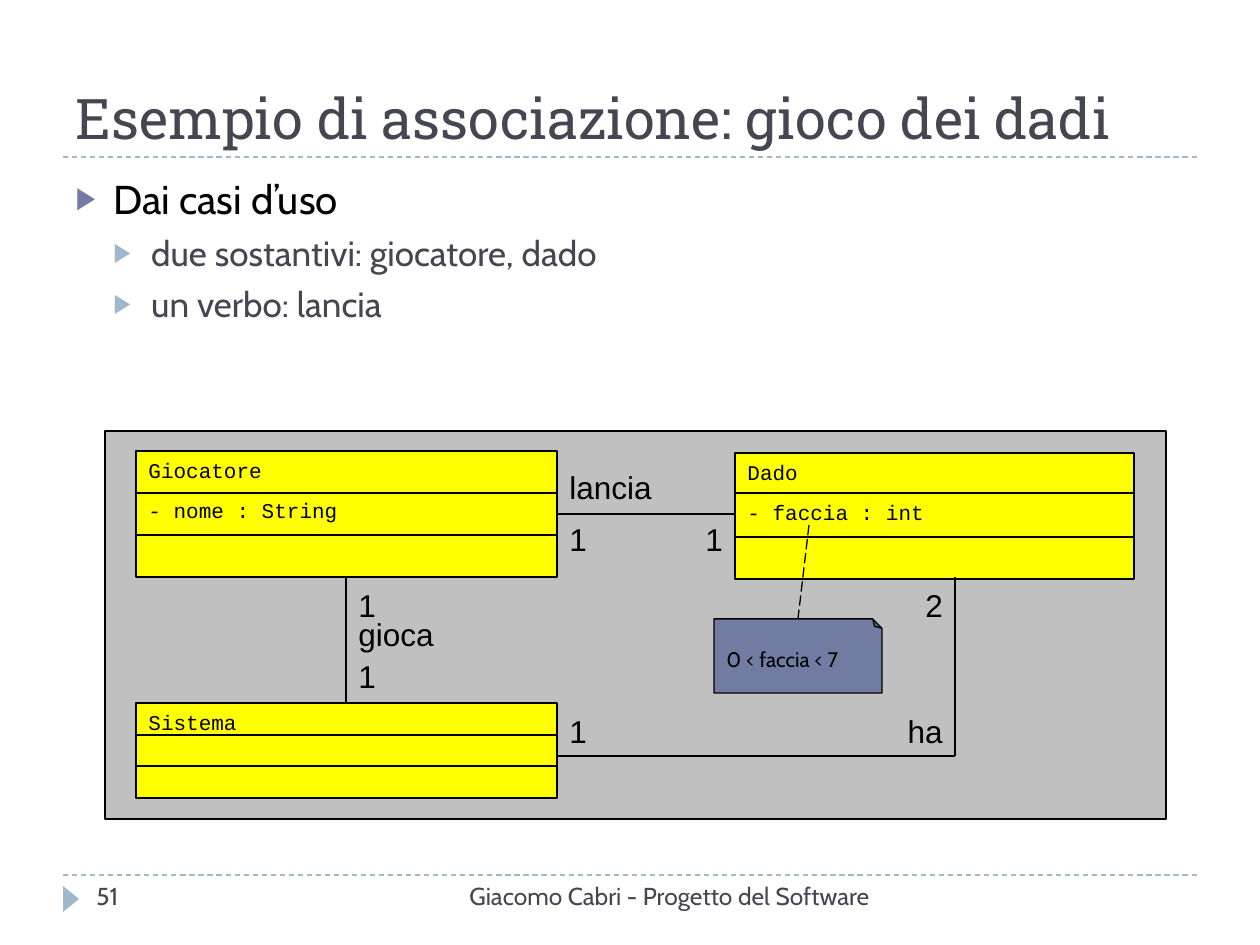
from lxml import etree
from pptx import Presentation, util as u
from pptx.dml.color import RGBColor
from pptx.enum import dml, shapes, text
from pptx.oxml.ns import qn

PX = 914400 / 126
INK, BLACK, BLUE, PALE = "464653", "000000", "727CA3", "9FB8CD"
MONO, BODY = "Courier New", "Cabin"
DASH = dml.MSO_LINE_DASH_STYLE

prs = Presentation()
prs.slide_width, prs.slide_height = u.Inches(10), u.Inches(7.5)
s = prs.slides.add_slide(prs.slide_layouts[1])
color = RGBColor.from_string


def px(*lengths):
    return [u.Emu(round(n * PX)) for n in lengths]


def style(p, size, font, ink):
    f = p.runs[0].font
    f.size, f.name = u.Pt(size), font
    f.color.rgb = color(ink)


# Title and bulleted list
title, body = s.shapes.title, s.placeholders[1]
for sp, box in [(title, (63, 21, 1134, 136)), (body, (63, 168, 1134, 680))]:
    sp.left, sp.top, sp.width, sp.height = px(*box)

tf = title.text_frame
tf.text = "Esempio di associazione: gioco dei dadi"
tf.auto_size = text.MSO_AUTO_SIZE.NONE
tf.vertical_anchor = text.MSO_ANCHOR.BOTTOM
tf.paragraphs[0].alignment = text.PP_ALIGN.LEFT
style(tf.paragraphs[0], 32, "Roboto Slab", INK)

tf = body.text_frame
tf.text = "Dai casi d’uso\ndue sostantivi: giocatore, dado\nun verbo: lancia"
tf.auto_size = text.MSO_AUTO_SIZE.NONE
levels = [(0, 23, BLACK, BLUE, 6), (1, 20, INK, PALE, 5), (1, 20, INK, PALE, 5)]
for p, (level, size, ink, bullet, before) in zip(tf.paragraphs, levels):
    p.level, p.space_before = level, u.Pt(before)
    style(p, size, BODY, ink)
    pPr = p._p.get_or_add_pPr()
    pPr.set("marL", str(u.Inches(0.3 * (level + 1))))
    pPr.set("indent", str(-u.Inches(0.3)))
    buClr = etree.SubElement(pPr, qn("a:buClr"))
    etree.SubElement(buClr, qn("a:srgbClr"), val=bullet)
    etree.SubElement(pPr, qn("a:buSzPct"), val="76000")
    etree.SubElement(pPr, qn("a:buChar"), char="▶")

# Panel, class boxes, note and footer marker
SHAPE = shapes.MSO_SHAPE
for kind, box, fill, line in [
    (SHAPE.RECTANGLE, (105, 431, 1061, 388), "C0C0C0", BLACK),
    (SHAPE.RECTANGLE, (136, 451, 421, 126), "FFFF00", BLACK),
    (SHAPE.RECTANGLE, (735, 453, 399, 126), "FFFF00", BLACK),
    (SHAPE.RECTANGLE, (136, 703, 421, 95), "FFFF00", BLACK),
    (SHAPE.FOLDED_CORNER, (714, 619, 168, 74), BLUE, BLACK),
    (SHAPE.ISOSCELES_TRIANGLE, (58, 891, 26, 16), PALE, None),
]:
    sp = s.shapes.add_shape(kind, *px(*box))
    sp.shadow.inherit = False
    sp.fill.solid()
    sp.fill.fore_color.rgb = color(fill)
    if line:
        sp.line.color.rgb = color(line)
        sp.line.width = u.Pt(0.75)
    else:
        sp.line.fill.background()
    if kind == SHAPE.FOLDED_CORNER:
        spPr = sp._element.spPr
        spPr.find(qn("a:xfrm")).set("flipV", "1")
        avLst = spPr.find(qn("a:prstGeom")).get_or_add_avLst()
        etree.SubElement(avLst, qn("a:gd"), name="adj", fmla="val 12500")
    if kind == SHAPE.ISOSCELES_TRIANGLE:
        sp.rotation = 90

# Rules, class dividers and associations
for x1, y1, x2, y2, ink, dash in [
    (63, 157, 1197, 157, PALE, DASH.DASH),
    (63, 875, 1197, 875, PALE, DASH.DASH),
    (136, 493, 557, 493, BLACK, None),
    (136, 535, 557, 535, BLACK, None),
    (735, 493, 1134, 493, BLACK, None),
    (735, 537, 1134, 537, BLACK, None),
    (136, 735, 557, 735, BLACK, None),
    (136, 766, 557, 766, BLACK, None),
    (557, 514, 735, 514, BLACK, None),
    (346, 577, 346, 703, BLACK, None),
    (557, 756, 955, 756, BLACK, None),
    (955, 756, 955, 577, BLACK, None),
    (809, 525, 798, 619, BLACK, DASH.LONG_DASH),
]:
    line = s.shapes.add_connector(shapes.MSO_CONNECTOR.STRAIGHT, *px(x1, y1, x2, y2))
    line.line.color.rgb = color(ink)
    line.line.width = u.Pt(0.75)
    if dash:
        line.line.dash_style = dash
    etree.SubElement(line._element.spPr, qn("a:effectLst"))

# Class members, association labels and footer
LEFT, RIGHT = text.PP_ALIGN.LEFT, text.PP_ALIGN.RIGHT
for words, box, size, font, ink, align in [
    ("Giocatore", (136, 451, 399, 38), 12, MONO, BLACK, LEFT),
    ("- nome : String", (136, 491, 420, 38), 12, MONO, BLACK, LEFT),
    ("Dado", (735, 453, 399, 38), 12, MONO, BLACK, LEFT),
    ("- faccia : int", (735, 493, 399, 38), 12, MONO, BLACK, LEFT),
    ("Sistema", (136, 703, 420, 38), 12, MONO, BLACK, LEFT),
    ("lancia", (557, 462, 178, 50), 18, "Arial", BLACK, LEFT),
    ("1", (557, 514, 42, 50), 18, "Arial", BLACK, LEFT),
    ("1", (693, 514, 42, 50), 18, "Arial", BLACK, LEFT),
    ("1", (346, 580, 42, 50), 18, "Arial", BLACK, LEFT),
    ("gioca", (346, 609, 178, 50), 18, "Arial", BLACK, LEFT),
    ("1", (346, 651, 42, 50), 18, "Arial", BLACK, LEFT),
    ("2", (913, 580, 42, 50), 18, "Arial", BLACK, LEFT),
    ("1", (557, 706, 42, 50), 18, "Arial", BLACK, LEFT),
    ("ha", (777, 706, 178, 50), 18, "Arial", BLACK, RIGHT),
    ("0 < faccia < 7", (714, 640, 168, 38), 12, BODY, BLACK, LEFT),
    ("51", (84, 875, 273, 50), 14, BODY, INK, LEFT),
    ("Giacomo Cabri - Progetto del Software", (399, 875, 483, 50), 14, BODY, INK, RIGHT),
]:
    tf = s.shapes.add_textbox(*px(*box)).text_frame
    tf.word_wrap = True
    tf.text = words
    p = tf.paragraphs[0]
    p.alignment = align
    style(p, size, font, ink)

prs.save("out.pptx")
